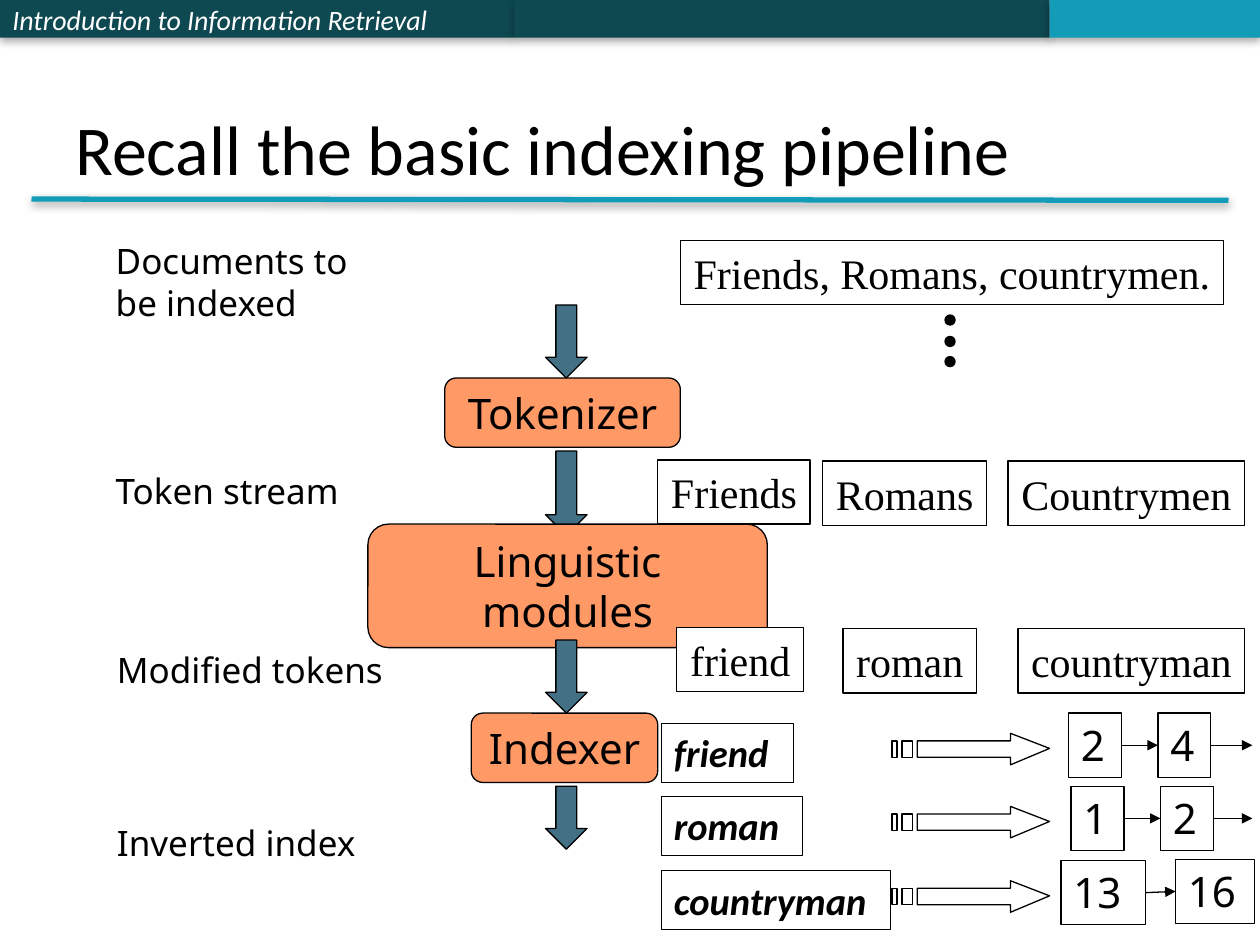
from lxml import etree
from pptx import Presentation
from pptx import util as u
from pptx.dml.color import RGBColor
from pptx.enum import shapes, text
from pptx.oxml.ns import qn

PX = 9144
BLACK = RGBColor(0x00, 0x00, 0x00)
WHITE = RGBColor(0xFF, 0xFF, 0xFF)
PETROL = RGBColor(0x0E, 0x48, 0x51)
TEAL = RGBColor(0x13, 0x9C, 0xB7)
ORANGE = RGBColor(0xFF, 0x99, 0x66)
STEEL = RGBColor(0x43, 0x70, 0x85)
SANS, SERIF, BODY = "Noto Sans", "Times New Roman", "Calibri"
KIND = shapes.MSO_SHAPE
ANCHOR = text.MSO_ANCHOR
ALIGN = text.PP_ALIGN


def px(*lengths):
    return [u.Emu(round(length * PX)) for length in lengths]


def write(part, lines, size, font, color=BLACK, align=ALIGN.LEFT,
          anchor=ANCHOR.TOP, wrap=True, bold=False, italic=False):
    frame = part.text_frame
    frame.word_wrap = wrap
    frame.vertical_anchor = anchor
    for number, line in enumerate(lines):
        paragraph = frame.add_paragraph() if number else frame.paragraphs[0]
        paragraph.alignment = align
        run = paragraph.add_run()
        run.text = line
        run.font.size = u.Pt(size)
        run.font.name = font
        run.font.color.rgb = color
        run.font.bold = bold
        run.font.italic = italic


def draw(part, fill=None, line=BLACK):
    if fill is None:
        part.fill.background()
    else:
        part.fill.solid()
        part.fill.fore_color.rgb = fill
    if line is None:
        part.line.fill.background()
    else:
        part.line.color.rgb = line
        part.line.width = u.Pt(0.75)
    part.shadow.inherit = False
    return part


def place(slide, kind, box, fill=None, line=BLACK):
    return draw(slide.shapes.add_shape(kind, *px(*box)), fill, line)


def label(slide, box, lines, size=20, font=SANS, **style):
    write(slide.shapes.add_textbox(*px(*box)), lines, size, font, **style)


def cast_shadow(part, opacity, distance):
    properties = part._element.spPr
    effects = properties.find(qn("a:effectLst"))
    if effects is None:
        effects = etree.SubElement(properties, qn("a:effectLst"))
    shadow = etree.SubElement(effects, qn("a:outerShdw"), blurRad=str(u.Pt(5)),
                              dist=str(u.Pt(distance)), dir="5400000",
                              algn="ctr", rotWithShape="0")
    tint = etree.SubElement(shadow, qn("a:srgbClr"), val=str(BLACK))
    etree.SubElement(tint, qn("a:alpha"), val=str(opacity * 1000))


def connect(slide, start, end, color=BLACK, width=0.75):
    link = slide.shapes.add_connector(shapes.MSO_CONNECTOR.STRAIGHT, *px(*start, *end))
    link.line.color.rgb = color
    link.line.width = u.Pt(width)
    return link


def header(slide, left, top):
    bands = [(0, 408, PETROL), (408, 425, PETROL), (833, 167, TEAL)]
    for number, (offset, width, color) in enumerate(bands):
        band = place(slide, KIND.RECTANGLE, (left + offset, top, width, 30), color, None)
        cast_shadow(band, 35, 1.8)
        if number == 0:
            write(band, ["Introduction to Information Retrieval"], 16, BODY, WHITE,
                  anchor=ANCHOR.MIDDLE, italic=True)


def title(slide, left, top):
    rule = connect(slide, (left - 25, top + 128), (left + 925, top + 129), TEAL, 3)
    cast_shadow(rule, 38, 1.6)
    label(slide, (left, top, 900, 125), ["Recall the basic indexing pipeline"],
          40, BODY, anchor=ANCHOR.BOTTOM)


def process(slide, box, name):
    step = place(slide, KIND.FLOWCHART_ALTERNATE_PROCESS, box, ORANGE)
    write(step, [name], 24, SANS, align=ALIGN.CENTER, anchor=ANCHOR.MIDDLE)


def down_arrow(slide, left, top, height):
    arrow = place(slide, KIND.DOWN_ARROW, (left, top, 33, height), STEEL)
    arrow.adjustments[0] = arrow.adjustments[1] = 0.5


def tokens(slide, left, top, words):
    for word, offset, drop, width in words:
        token = place(slide, KIND.RECTANGLE, (left + offset, top + drop, width, 51), WHITE)
        write(token, [word], 24, SERIF, align=ALIGN.CENTER,
              anchor=ANCHOR.MIDDLE, wrap=False)


def tokenizing(slide, left, top):
    process(slide, (left + 271, top, 187, 55), "Tokenizer")
    down_arrow(slide, left + 351, top + 58, 67)
    label(slide, (left, top + 68, 207, 44), ["Token stream"])
    tokens(slide, left, top + 65, [("Friends", 440, 0, 121), ("Romans", 571, 1, 130),
                                   ("Countrymen", 718, 1, 188)])


def normalizing(slide, left, top):
    process(slide, (left + 210, top, 317, 98), "Linguistic modules")
    down_arrow(slide, left + 351, top + 92, 58)
    label(slide, (left + 1, top + 94, 246, 43), ["Modified tokens"])
    tokens(slide, left, top + 82, [("friend", 455, 0, 101), ("roman", 587, 1, 106),
                                   ("countryman", 726, 1, 180)])


def striped_arrow(slide, left, top):
    contours = [
        [(94, 0), (94, 6), (20, 6), (20, 19), (94, 19), (94, 25), (125, 12)],
        [(8, 6), (8, 19), (16, 19), (16, 6)],
        [(0, 6), (0, 19), (4, 19), (4, 6)],
    ]
    builder = slide.shapes.build_freeform(*contours[0][0], scale=PX)
    for number, (start, *corners) in enumerate(contours):
        if number:
            builder.move_to(*start)
        builder.add_line_segments(corners, close=True)
    draw(builder.convert_to_shape(*px(left, top)))


def posting_link(slide, source, target=None):
    middle = (source.top + source.height / 2) / PX
    right = (source.left + source.width) / PX
    link = connect(slide, (right, middle), (994, middle))
    link.begin_connect(source, 3)
    if target is not None:
        link.end_connect(target, 1)
    etree.SubElement(link.line._get_or_add_ln(), qn("a:tailEnd"), type="triangle")
    etree.SubElement(link._element.spPr, qn("a:effectLst"))


def posting_list(slide, left, top, term, width, entries, continues):
    heading = place(slide, KIND.RECTANGLE, (left, top, width, 47))
    write(heading, [term], 22, BODY, bold=True, italic=True)
    striped_arrow(slide, left + 183, top + 8)
    postings = []
    for number, offset, rise, span in entries:
        posting = place(slide, KIND.RECTANGLE, (left + offset, top - rise, span, 51))
        write(posting, [number], 24, SANS)
        postings.append(posting)
    posting_link(slide, *postings)
    if continues:
        posting_link(slide, postings[1])


def indexing(slide, left, top):
    process(slide, (left + 292, top, 148, 55), "Indexer")
    down_arrow(slide, left + 351, top + 58, 50)
    label(slide, (left + 1, top + 81, 223, 43), ["Inverted index"])
    rows = [
        (8, "friend", 105, [("2", 323, 8, 42), ("4", 394, 8, 42)], True),
        (66, "roman", 112, [("1", 325, 8, 42), ("2", 396, 8, 42)], True),
        (125, "countryman", 182, [("13", 317, 8, 67), ("16", 408, 9, 63)], False),
    ]
    for drop, *row in rows:
        posting_list(slide, left + 443, top + drop, *row)


def documents(slide, left, top):
    down_arrow(slide, left + 351, top + 57, 58)
    label(slide, (left, top, 209, 77), ["Documents to", "be indexed"])
    tokens(slide, left, top, [("Friends, Romans, countrymen.", 458, 6, 431)])
    for drop in (65, 82, 98):
        place(slide, KIND.OVAL, (left + 668, top + drop, 8, 8), BLACK)


def main():
    deck = Presentation()
    deck.slide_width, deck.slide_height = px(1000, 750)
    slide = deck.slides.add_slide(deck.slide_layouts[6])
    header(slide, 0, 0)
    title(slide, 50, 30)
    tokenizing(slide, 82, 300)
    normalizing(slide, 82, 416)
    indexing(slide, 82, 566)
    documents(slide, 82, 185)
    deck.save("out.pptx")


if __name__ == "__main__":
    main()
